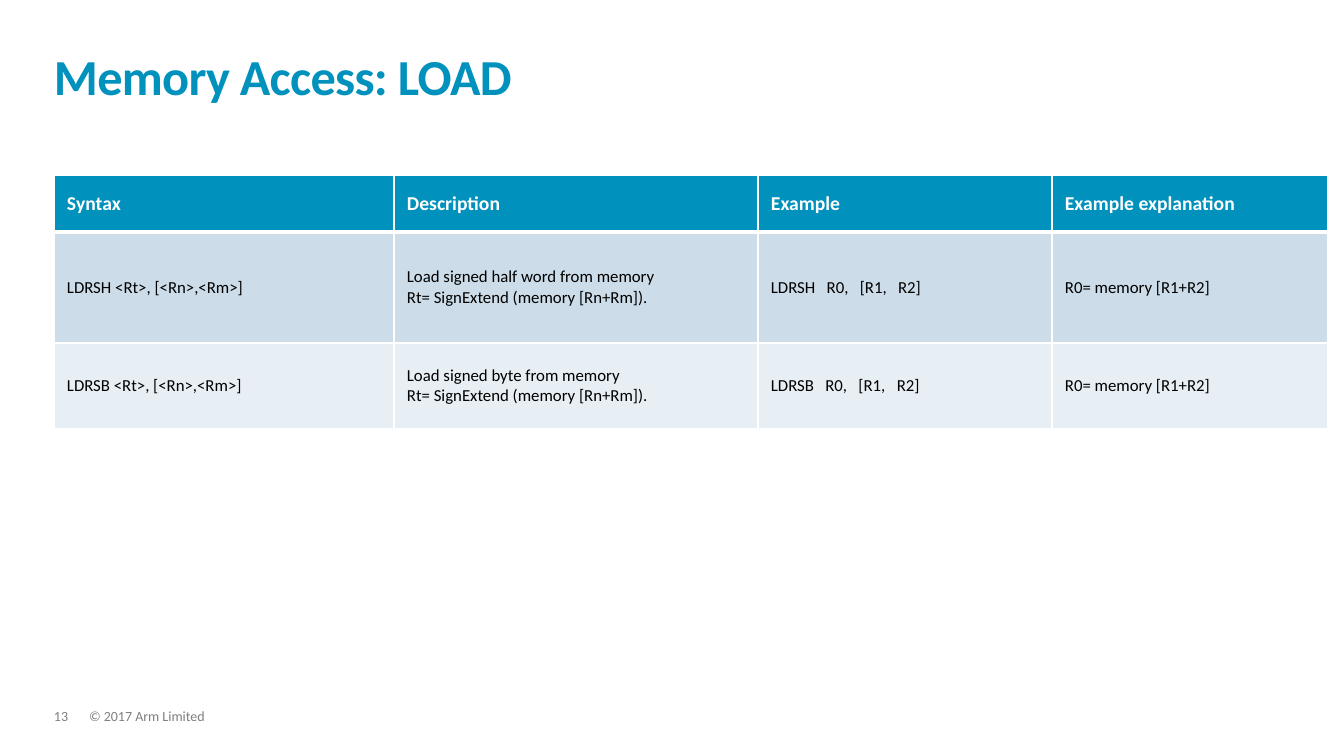
from dataclasses import dataclass

from lxml.etree import SubElement
from pptx import Presentation
from pptx.dml.color import RGBColor as Rgb
from pptx.enum.text import MSO_ANCHOR as Anchor, MSO_AUTO_SIZE as AutoSize
from pptx.oxml.ns import qn
from pptx.util import Pt

PX = 914400 / 100.8


@dataclass(frozen=True)
class Theme:
    font: str = "Calibri"
    accent: str = "0091BD"
    paper: str = "FFFFFF"
    ink: str = "000000"
    muted: str = "7F7F7F"
    bands: tuple = ("CCDCE8", "E7EEF4")
    title_size: int = 36
    header_size: int = 14
    body_size: int = 12
    footer_size: int = 10


THEME = Theme()
COLUMN_WIDTHS = (340, 364, 294, 276)
ROW_HEIGHTS = (57, 111, 86)
INSTRUCTIONS = (
    ("Syntax", "Description", "Example", "Example explanation"),
    ("LDRSH <Rt>, [<Rn>,<Rm>]",
     "Load signed half word from memory\nRt= SignExtend (memory [Rn+Rm]).",
     "LDRSH   R0,   [R1,   R2]", "R0= memory [R1+R2]"),
    ("LDRSB <Rt>, [<Rn>,<Rm>]",
     "Load signed byte from memory\nRt= SignExtend (memory [Rn+Rm]).",
     "LDRSB   R0,   [R1,   R2]", "R0= memory [R1+R2]"),
)


def px(length):
    return round(length * PX)


def write(frame, text, *, size, color, bold=False, line=None, after=None, spacing=None):
    frame.word_wrap = True
    for index, words in enumerate(text.split("\n")):
        paragraph = frame.add_paragraph() if index else frame.paragraphs[0]
        paragraph.line_spacing = line
        paragraph.space_after = after
        run = paragraph.add_run()
        run.text = words
        run.font.name = THEME.font
        run.font.size = Pt(size)
        run.font.bold = bold
        run.font.color.rgb = Rgb.from_string(color)
        if spacing is not None:
            run.font._element.set("spc", str(spacing))


def add_label(slide, box, text, *, anchor=Anchor.TOP, fit=AutoSize.NONE, **style):
    frame = slide.shapes.add_textbox(*map(px, box)).text_frame
    frame.margin_left = frame.margin_top = frame.margin_right = frame.margin_bottom = 0
    frame.vertical_anchor = anchor
    frame.auto_size = fit
    write(frame, text, **style)


def add_title(slide, box):
    add_label(slide, box, "Memory Access: LOAD", anchor=Anchor.BOTTOM,
              size=THEME.title_size, color=THEME.accent, bold=True,
              line=0.85, spacing=-50)


def add_footer(slide, box):
    left, top, width, height = box
    number_width = 35
    style = dict(fit=AutoSize.SHAPE_TO_FIT_TEXT, size=THEME.footer_size,
                 color=THEME.muted, line=0.9, after=Pt(6))
    add_label(slide, (left + number_width, top, width - number_width, height),
              "© 2017 Arm Limited", **style)
    add_label(slide, (left, top, number_width, height), "13", **style)


def set_borders(cell, **widths):
    properties = cell._tc.get_or_add_tcPr()
    for side in "LRTB":
        border = SubElement(properties, qn(f"a:ln{side}"), w=str(Pt(widths.get(side, 1))))
        fill = SubElement(border, qn("a:solidFill"))
        SubElement(fill, qn("a:srgbClr"), val=THEME.paper)


def style_cell(cell, row, text):
    header = row == 0
    set_borders(cell, T=3 if row == 1 else 1, B=3 if header else 1)
    cell.fill.solid()
    cell.fill.fore_color.rgb = Rgb.from_string(
        THEME.accent if header else THEME.bands[(row - 1) % 2])
    cell.margin_left = cell.margin_right = px(13)
    cell.margin_top = cell.margin_bottom = px(5)
    cell.vertical_anchor = Anchor.MIDDLE
    write(cell.text_frame, text, bold=header,
          size=THEME.header_size if header else THEME.body_size,
          color=THEME.paper if header else THEME.ink)


def add_instruction_table(slide, box):
    table = slide.shapes.add_table(
        len(ROW_HEIGHTS), len(COLUMN_WIDTHS), *map(px, box)).table
    for column, width in zip(table.columns, COLUMN_WIDTHS):
        column.width = px(width)
    for row, height in zip(table.rows, ROW_HEIGHTS):
        row.height = px(height)
    for row, texts in enumerate(INSTRUCTIONS):
        for column, text in enumerate(texts):
            style_cell(table.cell(row, column), row, text)


def main():
    deck = Presentation()
    deck.slide_width, deck.slide_height = px(1344), px(756)
    slide = deck.slides.add_slide(deck.slide_layouts[6])
    add_footer(slide, (54, 709, 955, 15))
    add_title(slide, (54, 32, 1233, 74))
    add_instruction_table(slide, (54, 175, sum(COLUMN_WIDTHS), sum(ROW_HEIGHTS)))
    deck.save("out.pptx")


if __name__ == "__main__":
    main()
